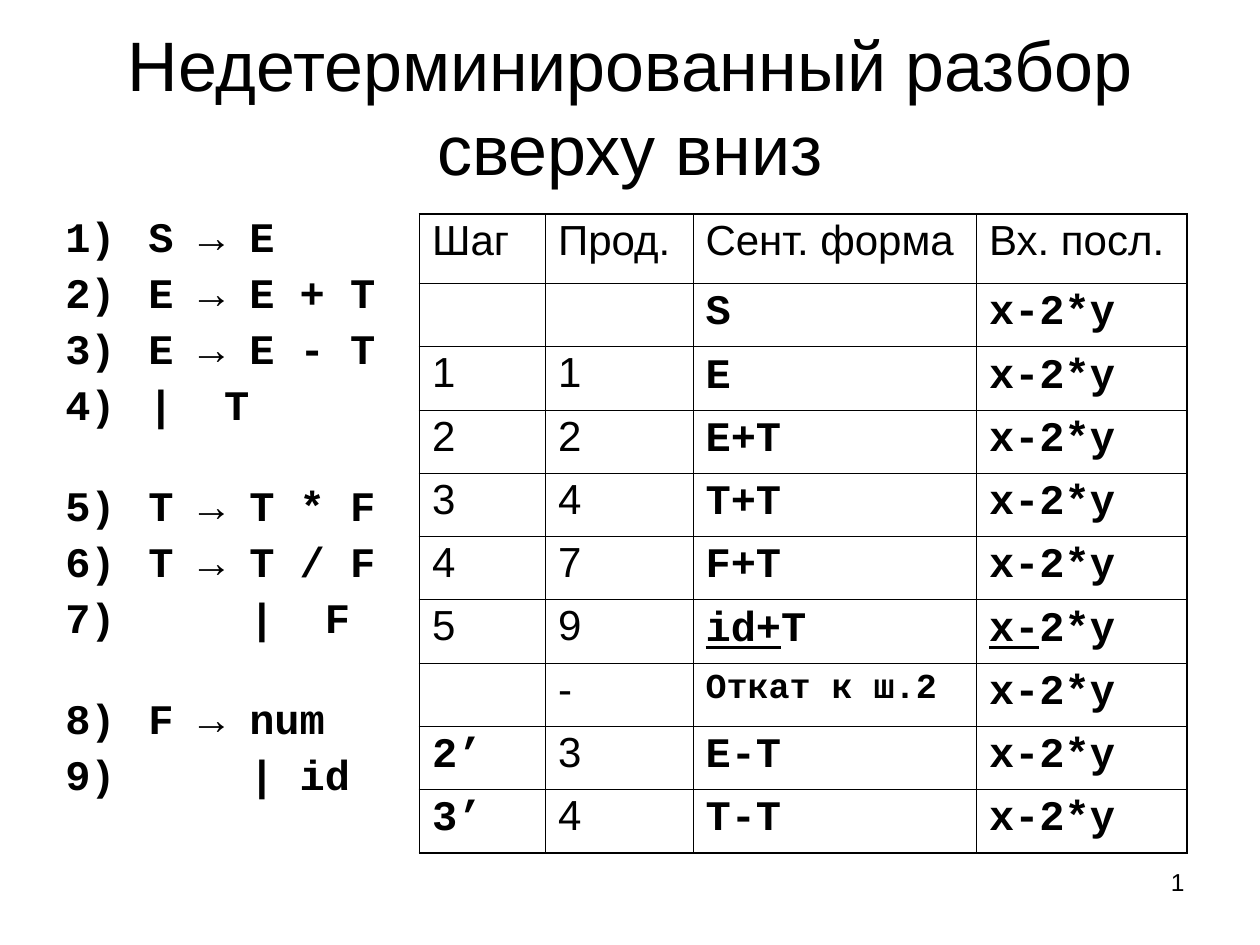
from lxml.etree import SubElement
from pptx import Presentation
from pptx.dml.color import RGBColor
from pptx.enum.text import MSO_ANCHOR, PP_ALIGN
from pptx.oxml.ns import qn
from pptx.util import Inches, Pt

BLACK = RGBColor(0x00, 0x00, 0x00)
SANS, MONO = "Arial", "Courier New"
INPUT = "x-2*y"
THIN, THICK = 0.45, 1.08

RULES = [
    ("S → E", 0), ("E → E + T", 6), ("E → E - T", 6), ("|  T", 6),
    ("T → T * F", 32), ("T → T / F", 6), ("    |  F", 6),
    ("F → num", 32), ("    | id", 6),
]
HEADER = ["Шаг", "Прод.", "Сент. форма", "Вх. посл."]
STEPS = [
    ["", "", "S", INPUT],
    ["1", "1", "E", INPUT],
    ["2", "2", "E+T", INPUT],
    ["3", "4", "T+T", INPUT],
    ["4", "7", "F+T", INPUT],
    ["5", "9", ("id+", "T"), ("x-", "2*y")],
    ["", "-", "Откат к ш.2", INPUT],
    ["2’", "3", "E-T", INPUT],
    ["3’", "4", "T-T", INPUT],
]
COLUMN_WIDTHS = [1, 1.17, 2.25, 1.67]
TABLE_HEIGHT, HEADER_HEIGHT = 5.07, 0.55


class SlideBuilder:
    def __init__(self, slide):
        self.s = slide

    def run(self, p, text, size, font=SANS, underline=False):
        r = p.add_run()
        r.text = text
        r.font.size = Pt(size)
        r.font.name = font
        r.font.bold = font == MONO
        r.font.underline = underline
        r.font.color.rgb = BLACK

    def box(self, x, y, w, h, anchor=MSO_ANCHOR.TOP):
        sp = self.s.shapes.add_textbox(Inches(x), Inches(y), Inches(w), Inches(h))
        tf = sp.text_frame
        tf.word_wrap = True
        tf.vertical_anchor = anchor
        return tf

    def label(self, text, x, y, w, h, size, align, anchor=MSO_ANCHOR.TOP):
        p = self.box(x, y, w, h, anchor).paragraphs[0]
        p.alignment = align
        self.run(p, text, size)

    def numbered_list(self, items, x, y, w, h):
        tf = self.box(x, y, w, h)
        for i, (text, before) in enumerate(items):
            p = tf.add_paragraph() if i else tf.paragraphs[0]
            p.line_spacing = 0.9
            p.space_before = Pt(before)
            pPr = p._p.get_or_add_pPr()
            pPr.set("marL", str(Inches(0.66)))
            pPr.set("indent", str(-Inches(0.66)))
            SubElement(pPr, qn("a:buAutoNum"), type="arabicParenR")
            self.run(p, text, 24, MONO)

    def borders(self, cell, widths):
        tcPr = cell._tc.get_or_add_tcPr()
        for side, width in zip("LRTB", widths):
            ln = SubElement(tcPr, qn(f"a:ln{side}"), w=str(Pt(width)))
            fill = SubElement(ln, qn("a:solidFill"))
            SubElement(fill, qn("a:srgbClr"), val=str(BLACK))
        cell.fill.background()

    def cell_text(self, cell, content, size, font):
        p = cell.text_frame.paragraphs[0]
        p.line_spacing = 0.93
        if isinstance(content, tuple):
            matched, rest = content
            self.run(p, matched, size, font, underline=True)
            self.run(p, rest, size, font)
        elif content:
            self.run(p, content, size, font)

    def table(self, header, steps, x, y):
        rows = [header] + steps
        last_row, last_col = len(rows) - 1, len(header) - 1
        table = self.s.shapes.add_table(
            len(rows), len(header), Inches(x), Inches(y),
            Inches(sum(COLUMN_WIDTHS)), Inches(TABLE_HEIGHT)).table
        table.first_row = table.horz_banding = False
        for column, width in zip(table.columns, COLUMN_WIDTHS):
            column.width = Inches(width)
        step_height = (TABLE_HEIGHT - HEADER_HEIGHT) / len(steps)
        for i, row in enumerate(rows):
            table.rows[i].height = Inches(step_height if i else HEADER_HEIGHT)
            for j, content in enumerate(row):
                cell = table.cell(i, j)
                outer = (j == 0, j == last_col, i == 0, i == last_row)
                self.borders(cell, [THICK if edge else THIN for edge in outer])
                mono = i > 0 and (j >= 2 or "’" in content)
                size = 20 if content == "Откат к ш.2" else 24
                self.cell_text(cell, content, size, MONO if mono else SANS)


def main():
    prs = Presentation()
    prs.slide_width, prs.slide_height = Inches(10), Inches(7.5)
    b = SlideBuilder(prs.slides.add_slide(prs.slide_layouts[6]))
    b.label("1", 7.17, 6.83, 2.33, 0.52, 14, PP_ALIGN.RIGHT)
    b.label("Недетерминированный разбор сверху вниз", 0.5, 0.35, 9, 0.98, 40,
            PP_ALIGN.CENTER, MSO_ANCHOR.MIDDLE)
    b.numbered_list(RULES, 0.42, 1.67, 2.67, 5.17)
    b.table(HEADER, STEPS, 3.33, 1.7)
    prs.save("out.pptx")


if __name__ == "__main__":
    main()
